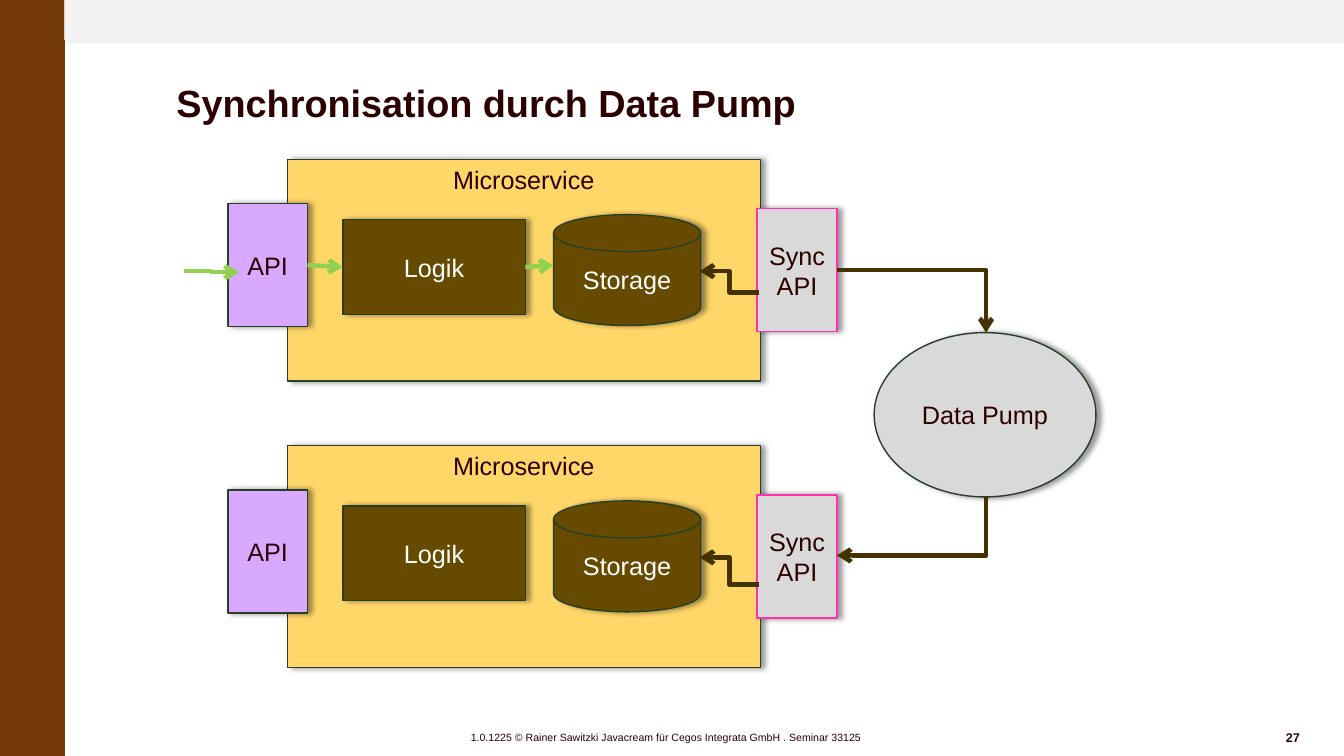
from lxml import etree
from pptx import Presentation
from pptx.dml.color import RGBColor
from pptx.enum.shapes import MSO_CONNECTOR as Line, MSO_SHAPE as Shape
from pptx.enum.text import MSO_ANCHOR as Anchor, PP_ALIGN as Align
from pptx.oxml.ns import qn
from pptx.util import Inches, Pt

DARK, WHITE = "2C0000", "FFFFFF"
SIDEBAR, BAND = "733909", "F2F2F2"
YELLOW, PURPLE, BROWN, GREY = "FFD769", "D9A9FF", "654A00", "D9D9D9"
OUTLINE, PINK = "293E29", "FF30AB"
REQUEST, SYNC = "92D050", "443200"
ROW_STEP = 2.84


def color(value):
    return RGBColor.from_string(value)


def write(box, text, size=18, ink=DARK, bold=False, align=Align.CENTER,
          anchor=Anchor.MIDDLE, insets=(0.1, 0.05, 0.1, 0.05), spacing=None):
    frame = box.text_frame
    frame.word_wrap = True
    frame.vertical_anchor = anchor
    (frame.margin_left, frame.margin_top,
     frame.margin_right, frame.margin_bottom) = map(Inches, insets)
    para = frame.paragraphs[0]
    para.text = text
    para.alignment = align
    if spacing:
        para.line_spacing = Pt(spacing)
    for span in para.runs:
        span.font.name = "Arial"
        span.font.size = Pt(size)
        span.font.bold = bold
        span.font.color.rgb = color(ink)


class Diagram:
    def __init__(self, page):
        self.page = page

    def shape(self, kind, left, top, width, height, fill, line=None):
        shape = self.page.shapes.add_shape(
            kind, *map(Inches, (left, top, width, height)))
        shape.shadow.inherit = False
        shape.fill.solid()
        shape.fill.fore_color.rgb = color(fill)
        if line:
            shape.line.color.rgb = color(line)
            shape.line.width = Pt(1)
        else:
            shape.line.fill.background()
        return shape

    def label(self, left, top, width, height, text, **style):
        box = self.page.shapes.add_textbox(
            *map(Inches, (left, top, width, height)))
        write(box, text, **style)

    def node(self, kind, left, top, width, height, text, fill,
             line=OUTLINE, **style):
        shape = self.shape(kind, left, top, width, height, fill, line)
        write(shape, text, **style)
        effects = shape._element.spPr.find(qn("a:effectLst"))
        shadow = etree.SubElement(effects, qn("a:outerShdw"), blurRad=str(Pt(4)),
                                  dist=str(Pt(3)), dir="0", algn="tl", rotWithShape="0")
        black = etree.SubElement(shadow, qn("a:srgbClr"), val="000000")
        etree.SubElement(black, qn("a:alpha"), val="40000")
        return shape

    def arrow(self, start, end, ink, kind=Line.ELBOW):
        arrow = self.page.shapes.add_connector(kind, *map(Inches, start + end))
        arrow.line.color.rgb = color(ink)
        arrow.line.width = Pt(3.25)
        etree.SubElement(arrow.line._get_or_add_ln(), qn("a:tailEnd"), type="arrow")
        etree.SubElement(arrow._element.spPr, qn("a:effectLst"))
        return arrow

    def corner(self, start, end, ink, down_first=False):
        """Arrow with one bend; down_first turns the frame by 90 degrees."""
        if down_first:
            (x1, y1), (x2, y2) = start, end
            middle_x, middle_y = (x1 + x2) / 2, (y1 + y2) / 2
            half_w, half_h = abs(y2 - y1) / 2, abs(x2 - x1) / 2
            start = (middle_x - half_w, middle_y - half_h)
            end = (middle_x + half_w, middle_y + half_h)
        properties = self.arrow(start, end, ink)._element.spPr
        properties.find(qn("a:prstGeom")).set("prst", "bentConnector2")
        if down_first:
            properties.find(qn("a:xfrm")).set("rot", "5400000")

    def microservice(self, top, sync_start):
        self.node(Shape.RECTANGLE, 2.85, top, 4.69, 2.2, "Microservice",
                  YELLOW, anchor=Anchor.TOP)
        api = self.node(Shape.RECTANGLE, 2.26, top + 0.44, 0.79, 1.22, "API", PURPLE)
        self.node(Shape.FLOWCHART_MAGNETIC_DISK, 5.49, top + 0.55, 1.46, 1.1,
                  "Storage", BROWN, ink=WHITE)
        logic = self.node(Shape.RECTANGLE, 3.4, top + 0.6, 1.81, 0.94,
                          "Logik", BROWN, ink=WHITE)
        self.node(Shape.RECTANGLE, 7.51, top + 0.49, 0.79, 1.22, "Sync\nAPI",
                  GREY, line=PINK)
        self.arrow((7.53, sync_start), (6.94, top + 1.11), SYNC)
        return api, logic


def main():
    deck = Presentation()
    deck.slide_width, deck.slide_height = Inches(13.33), Inches(7.5)
    diagram = Diagram(deck.slides.add_slide(deck.slide_layouts[6]))

    # Frame, title and footer
    diagram.shape(Shape.RECTANGLE, 0, 0, 0.64, 0.42, SIDEBAR)
    diagram.shape(Shape.RECTANGLE, 0.64, 0, 12.69, 0.43, BAND)
    diagram.shape(Shape.RECTANGLE, 0, 0.4, 0.64, 7.1, SIDEBAR, SIDEBAR)
    diagram.label(1.63, 0.77, 11.37, 0.59, "Synchronisation durch Data Pump",
                  size=27, bold=True, align=Align.LEFT, anchor=Anchor.BOTTOM,
                  insets=(0.12, 0.12, 0, 0.12), spacing=25)
    diagram.label(4.67, 7.25, 4.33, 0.13,
                  "1.0.1225 © Rainer Sawitzki Javacream für Cegos Integrata GmbH"
                  " . Seminar 33125",
                  size=7.5, align=Align.LEFT, insets=(0, 0, 0.04, 0))
    diagram.label(12.29, 7.2, 0.7, 0.23, "27", size=9, bold=True, align=Align.RIGHT)

    # Two microservices
    api, logic = diagram.microservice(1.58, sync_start=2.9)
    diagram.microservice(1.58 + ROW_STEP, sync_start=5.8)

    # Request path through the upper service
    diagram.arrow((1.82, 2.69), (2.37, 2.7), REQUEST)
    call = diagram.arrow((3.05, 2.63), (3.4, 2.65), REQUEST, Line.STRAIGHT)
    call.begin_connect(api, 3)
    call.end_connect(logic, 1)
    store = diagram.arrow((5.21, 2.65), (5.49, 2.63), REQUEST, Line.STRAIGHT)
    store.begin_connect(logic, 3)

    # Data pump between the sync APIs
    diagram.node(Shape.OVAL, 8.67, 3.3, 2.2, 1.63, "Data Pump", GREY)
    diagram.corner((8.3, 2.68), (9.78, 3.3), SYNC)
    diagram.corner((9.78, 4.93), (8.3, 5.51), SYNC, down_first=True)

    deck.save("out.pptx")


if __name__ == "__main__":
    main()
